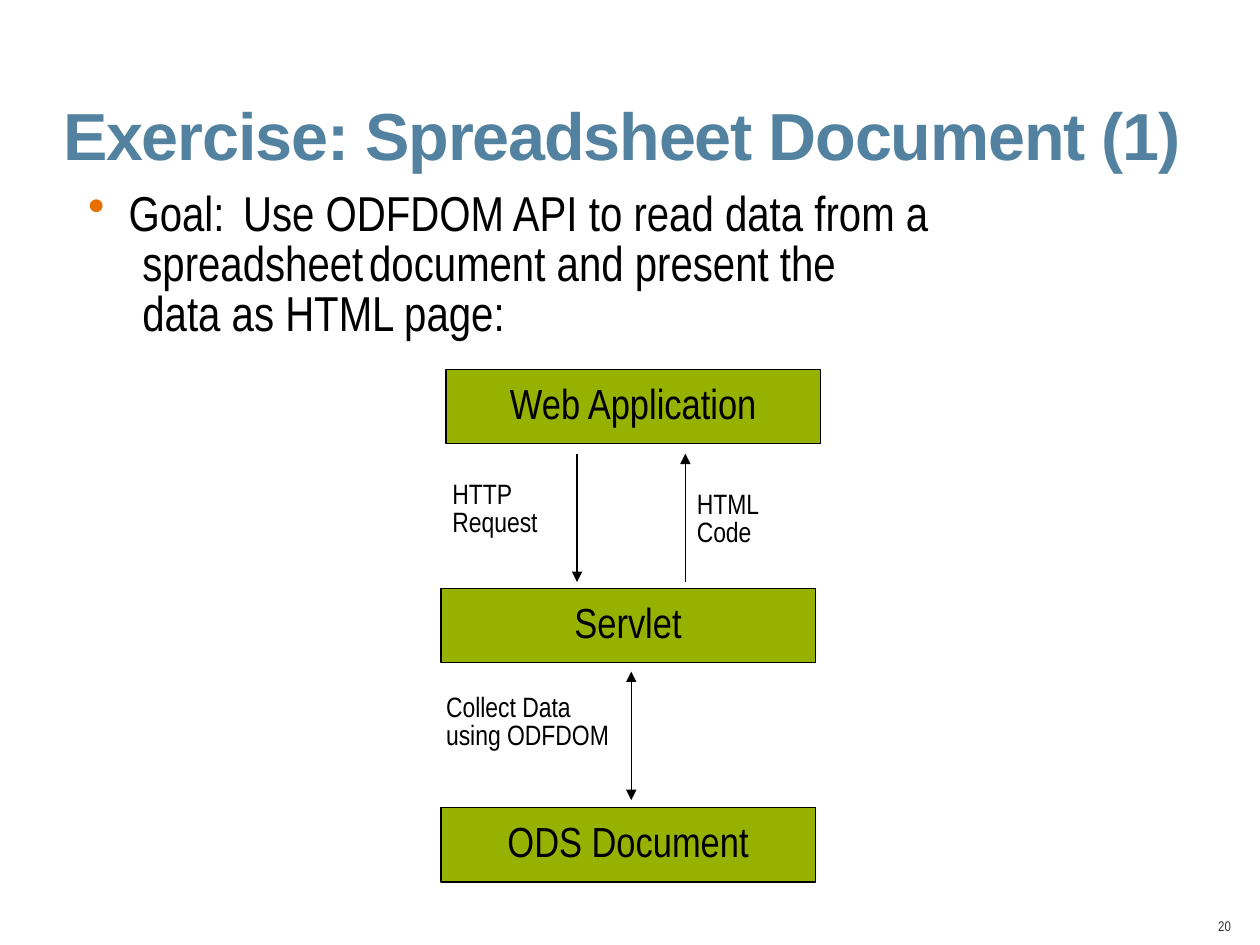
from lxml.etree import SubElement
from pptx import Presentation
from pptx.dml.color import RGBColor
from pptx.enum.shapes import MSO_CONNECTOR, MSO_SHAPE
from pptx.enum.text import MSO_ANCHOR, PP_ALIGN
from pptx.oxml import parse_xml
from pptx.oxml.ns import nsdecls, qn
from pptx.util import Inches, Pt


def color(value):
    return RGBColor.from_string(value)


def write(box, text, size, ink="000000", font="Arial Narrow", spacing=0.85,
          align=PP_ALIGN.LEFT, anchor=MSO_ANCHOR.TOP, wrap=True, extras=()):
    frame = box.text_frame
    frame.margin_left = frame.margin_right = 0
    frame.margin_top = frame.margin_bottom = 0
    frame.word_wrap = wrap
    frame.vertical_anchor = anchor
    para = frame.paragraphs[0]
    para.text = text
    for extra in extras:
        para._p.get_or_add_pPr().append(parse_xml(extra))
    para.alignment = align
    para.line_spacing = spacing
    para.font.name = font
    para.font.size = Pt(size)
    para.font.color.rgb = color(ink)
    return para


deck = Presentation()
deck.slide_width = Inches(10)
deck.slide_height = Inches(7.5)
page = deck.slides.add_slide(deck.slide_layouts[6])
shapes = page.shapes

number = shapes.add_textbox(Inches(9.12), Inches(7.21), Inches(0.65), Inches(0.29))
write(number, "20", 8, "333333", align=PP_ALIGN.RIGHT, anchor=MSO_ANCHOR.MIDDLE)

title = shapes.add_textbox(Inches(0.5), Inches(0.82), Inches(9.08), Inches(0.69))
para = write(title, "Exercise: Spreadsheet Document (1)", 38, "5382A1", "Arial", 0.9)
para.font.bold = True
para.font._element.set("spc", "-70")

goal = shapes.add_textbox(Inches(0.43), Inches(1.52), Inches(8.91), Inches(5.36))
bullet = [
    f'<a:buClr {nsdecls("a")}><a:srgbClr val="E76F00"/></a:buClr>',
    f'<a:buChar {nsdecls("a")} char="•"/>',
    f'<a:tabLst {nsdecls("a")}><a:tab pos="{Inches(0.7)}" algn="l"/></a:tabLst>',
]
para = write(goal, "Goal:\tUse ODFDOM API to read data from a\v"
             "\tspreadsheet\tdocument and present the\v"
             "\tdata as HTML page:", 28, extras=bullet)
properties = para._p.get_or_add_pPr()
properties.set("marL", str(Inches(0.59)))
properties.set("indent", str(Inches(-0.32)))

for name, left, top in [("Web Application", 3.54, 2.93),
                        ("Servlet", 3.5, 4.67),
                        ("ODS Document", 3.5, 6.41)]:
    tier = shapes.add_shape(MSO_SHAPE.RECTANGLE, Inches(left), Inches(top),
                            Inches(2.97), Inches(0.59))
    tier.shadow.inherit = False
    tier.fill.solid()
    tier.fill.fore_color.rgb = color("97B101")
    tier.line.color.rgb = color("000000")
    tier.line.width = Pt(0.71)
    write(tier, name, 24, align=PP_ALIGN.CENTER, anchor=MSO_ANCHOR.MIDDLE, wrap=False)

for x, top, ends in [(4.58, 3.6, ["tailEnd"]),
                     (5.44, 3.6, ["headEnd"]),
                     (5.01, 5.33, ["headEnd", "tailEnd"])]:
    arrow = shapes.add_connector(MSO_CONNECTOR.STRAIGHT, Inches(x), Inches(top),
                                 Inches(x), Inches(top + 1.02))
    arrow.line.color.rgb = color("000000")
    arrow.line.width = Pt(0.71)
    for end in ends:
        SubElement(arrow.line._get_or_add_ln(), qn(f"a:{end}"), type="triangle")
    SubElement(arrow._element.spPr, qn("a:effectLst"))

for text, left, top, width in [("HTTP Request", 3.59, 3.82, 1.11),
                               ("HTML Code", 5.53, 3.9, 0.82),
                               ("Collect Data using ODFDOM", 3.54, 5.51, 1.38)]:
    label = shapes.add_textbox(Inches(left), Inches(top), Inches(width), Inches(0.47))
    write(label, text, 16)

deck.save("out.pptx")
